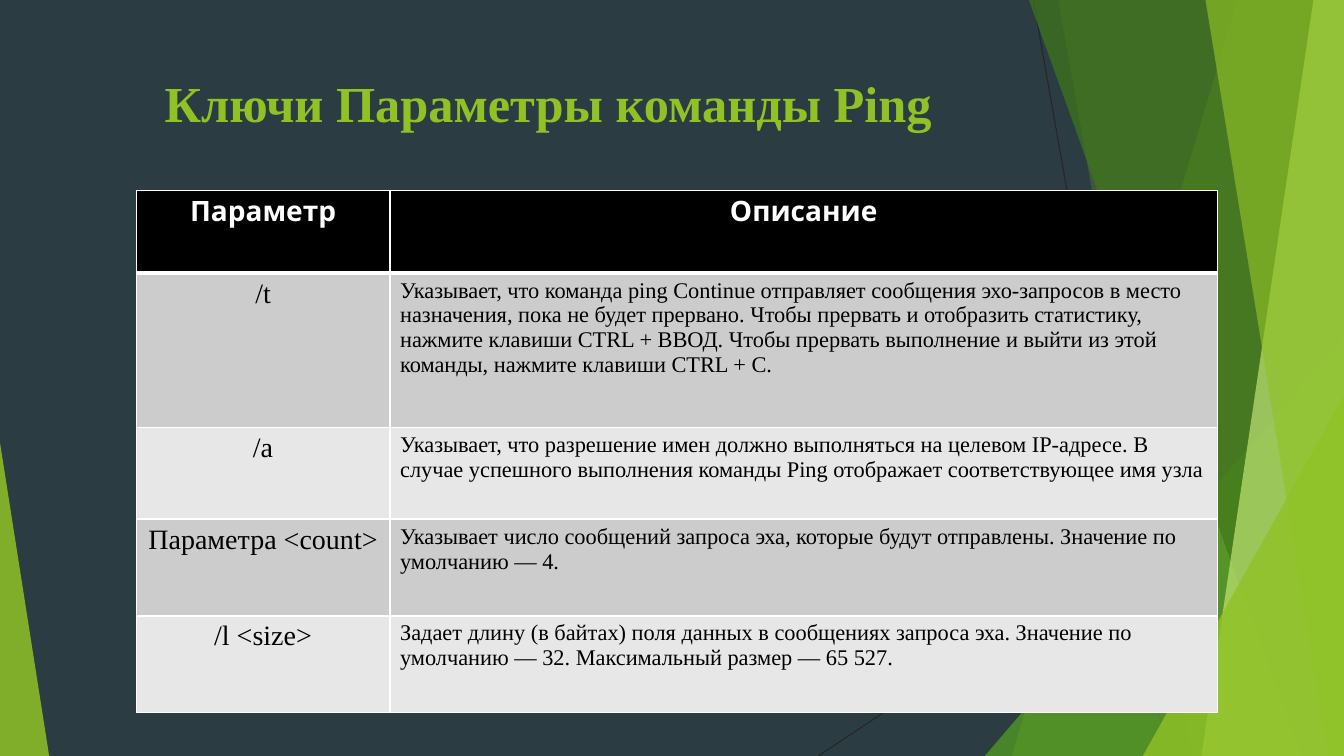
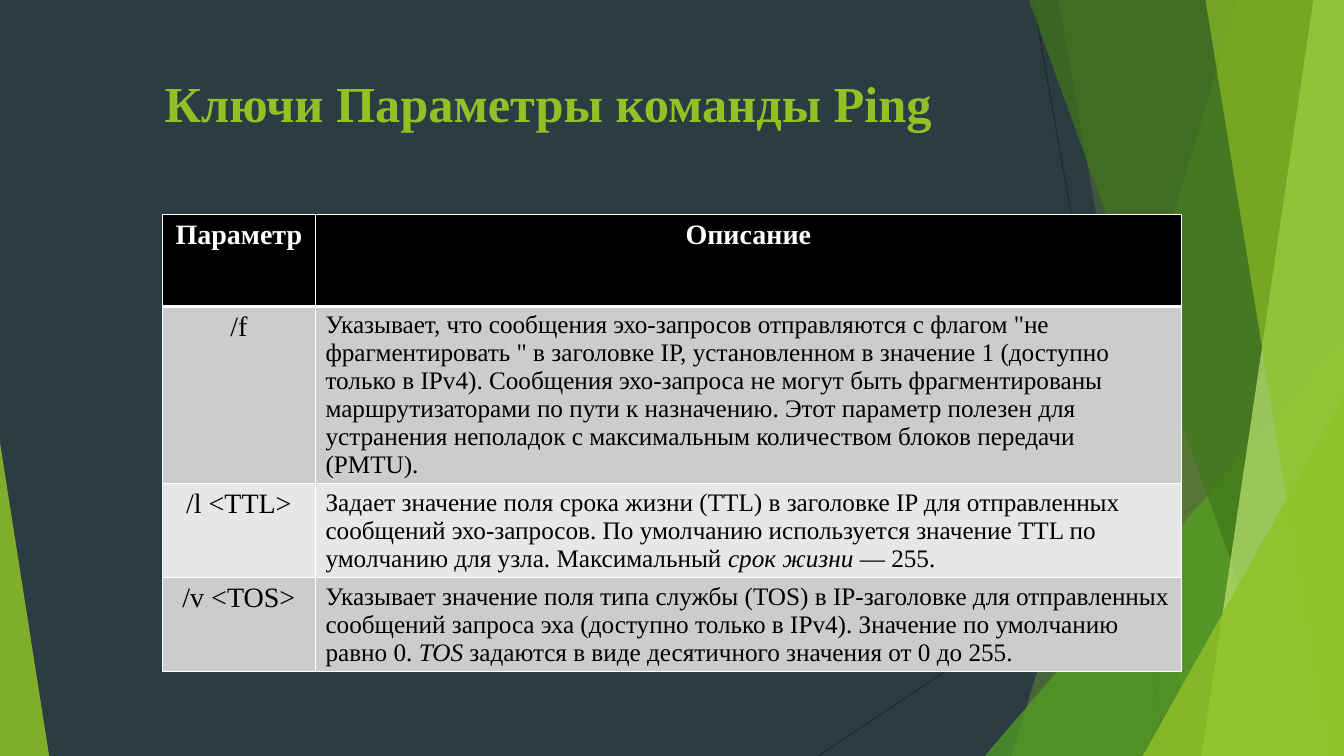
from lxml import etree
from pptx import Presentation
from pptx import util as u
from pptx.dml.color import RGBColor
from pptx.enum import shapes, text
from pptx.oxml import ns

NIGHT = RGBColor(0x2C, 0x3C, 0x43)
LIME = RGBColor(0x90, 0xC2, 0x26)
GREEN = RGBColor(0x54, 0xA0, 0x21)
FOREST = RGBColor(0x3F, 0x78, 0x19)
PALE = RGBColor(0xC0, 0xE4, 0x74)
HAIRLINE = RGBColor(0x26, 0x26, 0x26)
WHITE = RGBColor(0xFF, 0xFF, 0xFF)
BLACK = RGBColor(0x00, 0x00, 0x00)
BANDS = (RGBColor(0xCC, 0xCC, 0xCC), RGBColor(0xE7, 0xE7, 0xE7))

SERIF = "Times New Roman"
WIDTH, HEIGHT = 33.87, 19.05
SLIDE_BOX = (0, 0, WIDTH, HEIGHT)
TITLE_BOX = (1.88, 1.7, 23.88, 3.66)
TITLE = "Ключи Параметры команды Ping"
TITLE_FORMAT = {"name": SERIF, "size": u.Pt(36), "bold": True}
HEADINGS = ("Параметр", "Описание")

RAYS = [(26.04, 0, 29.41, 19.05), (33.87, 10.24, 20.62, 19.05)]
FACETS = [
    ("blade", (31.19, 25.5), LIME, 30),
    ("blade", (26.67, 30.05), LIME, 20),
    ("triangle", (24.82, 8.46, 9.05, 10.59, 1), GREEN, 72),
    ("blade", (25.93, 32.79), FOREST, 70),
    ("blade", (33.1, 30.28), PALE, 70),
    ("blade", (30.38, 33.48), LIME, 65),
    ("triangle", (28.8, 9.98, 5.07, 9.07, 1), LIME, 80),
    ("triangle", (0, 11.15, 1.24, 7.9, 0), LIME, 85),
]

TABLES = [
    {
        "corner": (3.43, 4.8),
        "columns": (6.4, 20.85),
        "rows": (2.08, 3.89, 2.31, 2.44, 2.44),
        "heading_font": "Karla",
        "body_size": 16,
        "entries": [
            ("/t", "Указывает, что команда ping Continue отправляет сообщения эхо-запросов в место "
                   "назначения, пока не будет прервано. Чтобы прервать и отобразить статистику, "
                   "нажмите клавиши CTRL + ВВОД. Чтобы прервать выполнение и выйти из этой "
                   "команды, нажмите клавиши CTRL + C."),
            ("/a", "Указывает, что разрешение имен должно выполняться на целевом IP-адресе. В "
                   "случае успешного выполнения команды Ping отображает соответствующее имя узла"),
            ("Параметра <count>", "Указывает число сообщений запроса эха, которые будут "
                                  "отправлены. Значение по умолчанию — 4."),
            ("/l <size>", "Задает длину (в байтах) поля данных в сообщениях запроса эха. Значение "
                          "по умолчанию — 32. Максимальный размер — 65 527."),
        ],
    },
    {
        "corner": (4.09, 5.41),
        "columns": (3.86, 21.82),
        "rows": (2.31,) * 4,
        "heading_font": SERIF,
        "body_size": 18,
        "entries": [
            ("/f", "Указывает, что сообщения эхо-запросов отправляются с флагом "
                   "\"не фрагментировать \" в заголовке IP, установленном в значение 1 (доступно "
                   "только в IPv4). Сообщения эхо-запроса не могут быть фрагментированы "
                   "маршрутизаторами по пути к назначению. Этот параметр полезен для устранения "
                   "неполадок с максимальным количеством блоков передачи (PMTU)."),
            ("/l <TTL>", "Задает значение поля срока жизни (TTL) в заголовке IP для отправленных "
                         "сообщений эхо-запросов. По умолчанию используется значение TTL по "
                         "умолчанию для узла. Максимальный *срок жизни* — 255."),
            ("/v <TOS>", "Указывает значение поля типа службы (TOS) в IP-заголовке для "
                         "отправленных сообщений запроса эха (доступно только в IPv4). Значение "
                         "по умолчанию равно 0. *TOS* задаются в виде десятичного значения от 0 "
                         "до 255."),
        ],
    },
]


def apply_format(font, values, colour):
    for name, value in values.items():
        setattr(font, name, value)
    font.color.rgb = colour


def place(item, box):
    for name, value in zip(("left", "top", "width", "height"), box):
        setattr(item, name, u.Cm(value))


def add_blade(page, box, ends):
    left, top, width, height = box
    upper, lower = ends
    corners = [(upper, 0), (width, 0), (width, height), (lower, height)]
    points = [(u.Cm(left + x), u.Cm(top + y)) for x, y in corners]
    builder = page.shapes.build_freeform(*points[0], scale=1.0)
    builder.add_line_segments(points[1:], close=True)
    return builder.convert_to_shape()


def add_triangle(page, box, geometry):
    x, y, width, height, apex = geometry
    triangle = page.shapes.add_shape(
        shapes.MSO_SHAPE.ISOSCELES_TRIANGLE,
        u.Cm(box[0] + x), u.Cm(box[1] + y), u.Cm(width), u.Cm(height))
    triangle.adjustments[0] = apex
    return triangle


def add_ray(page, box, ends):
    x1, y1, x2, y2 = ends
    ray = page.shapes.add_connector(
        shapes.MSO_CONNECTOR.STRAIGHT,
        u.Cm(box[0] + x1), u.Cm(box[1] + y1), u.Cm(box[0] + x2), u.Cm(box[1] + y2))
    ray.line.color.rgb = HAIRLINE
    ray.line.width = u.Pt(0.75)
    etree.SubElement(ray.element.spPr, ns.qn("a:effectLst"))
    return ray


def add_facet(page, box, kind, geometry, colour, opacity):
    draw = {"blade": add_blade, "triangle": add_triangle}[kind]
    facet = draw(page, box, geometry)
    facet.shadow.inherit = False
    facet.fill.solid()
    facet.fill.fore_color.rgb = colour
    facet.line.fill.background()
    tint = facet.element.spPr.find(".//" + ns.qn("a:srgbClr"))
    etree.SubElement(tint, ns.qn("a:alpha"), val=str(opacity * 1000))
    return facet


def decorate_layout(deck, layout, box):
    fill = deck.slide_master.background.fill
    fill.solid()
    fill.fore_color.rgb = NIGHT
    place(layout.placeholders[0], TITLE_BOX)
    page = deck.slides[0]
    parts = [add_ray(page, box, ends) for ends in RAYS]
    parts += [add_facet(page, box, *facet) for facet in FACETS]
    tree = layout.shapes.element
    for index, part in enumerate(parts, start=2):
        tree.insert(index, part.element)


def fill_title(page, box):
    title = page.shapes.title
    place(title, box)
    frame = title.text_frame
    frame.text = TITLE
    frame.word_wrap = True
    frame.auto_size = text.MSO_AUTO_SIZE.NONE
    frame.vertical_anchor = text.MSO_ANCHOR.TOP
    para = frame.paragraphs[0]
    para.alignment = text.PP_ALIGN.CENTER
    apply_format(para.runs[0].font, TITLE_FORMAT, LIME)


def add_border(cell, side, points):
    line = etree.SubElement(cell._tc.get_or_add_tcPr(), ns.qn("a:ln" + side),
                            w=str(u.Pt(points)))
    fill = etree.SubElement(line, ns.qn("a:solidFill"))
    etree.SubElement(fill, ns.qn("a:srgbClr"), val=str(WHITE))


def fill_cell(cell, words, values, colour, background, centred, top_line, bottom_line):
    for side, points in zip("LRTB", (1, 1, top_line, bottom_line)):
        add_border(cell, side, points)
    cell.fill.solid()
    cell.fill.fore_color.rgb = background
    para = cell.text_frame.paragraphs[0]
    para.alignment = text.PP_ALIGN.CENTER if centred else text.PP_ALIGN.LEFT
    for index, piece in enumerate(words.split("*")):
        span = para.add_run()
        span.text = piece
        apply_format(span.font, {**values, "italic": index % 2 == 1}, colour)


def add_parameter_table(page, plan):
    columns, rows = plan["columns"], plan["rows"]
    frame = page.shapes.add_table(
        len(rows), len(columns), *map(u.Cm, plan["corner"]),
        u.Cm(sum(columns)), u.Cm(sum(rows)))
    table = frame.table
    for column, width in zip(table.columns, columns):
        column.width = u.Cm(width)
    for row, height in zip(table.rows, rows):
        row.height = u.Cm(height)
    for r, entry in enumerate([HEADINGS] + plan["entries"]):
        heading = r == 0
        for c, words in enumerate(entry):
            centred = heading or c == 0
            values = {
                "name": plan["heading_font"] if heading else SERIF,
                "size": u.Pt(20 if centred else plan["body_size"]),
                "bold": heading,
            }
            fill_cell(table.cell(r, c), words, values,
                      WHITE if heading else BLACK,
                      BLACK if heading else BANDS[(r - 1) % 2],
                      centred, 3 if r == 1 else 1, 3 if heading else 1)


def build_table_slide(deck, layout, plan):
    page = deck.slides.add_slide(layout)
    fill_title(page, TITLE_BOX)
    add_parameter_table(page, plan)


def main():
    deck = Presentation()
    deck.slide_width, deck.slide_height = u.Cm(WIDTH), u.Cm(HEIGHT)
    layout = deck.slide_layouts.get_by_name("Title Only")
    for plan in TABLES:
        build_table_slide(deck, layout, plan)
    decorate_layout(deck, layout, SLIDE_BOX)
    deck.save("out.pptx")


if __name__ == "__main__":
    main()
